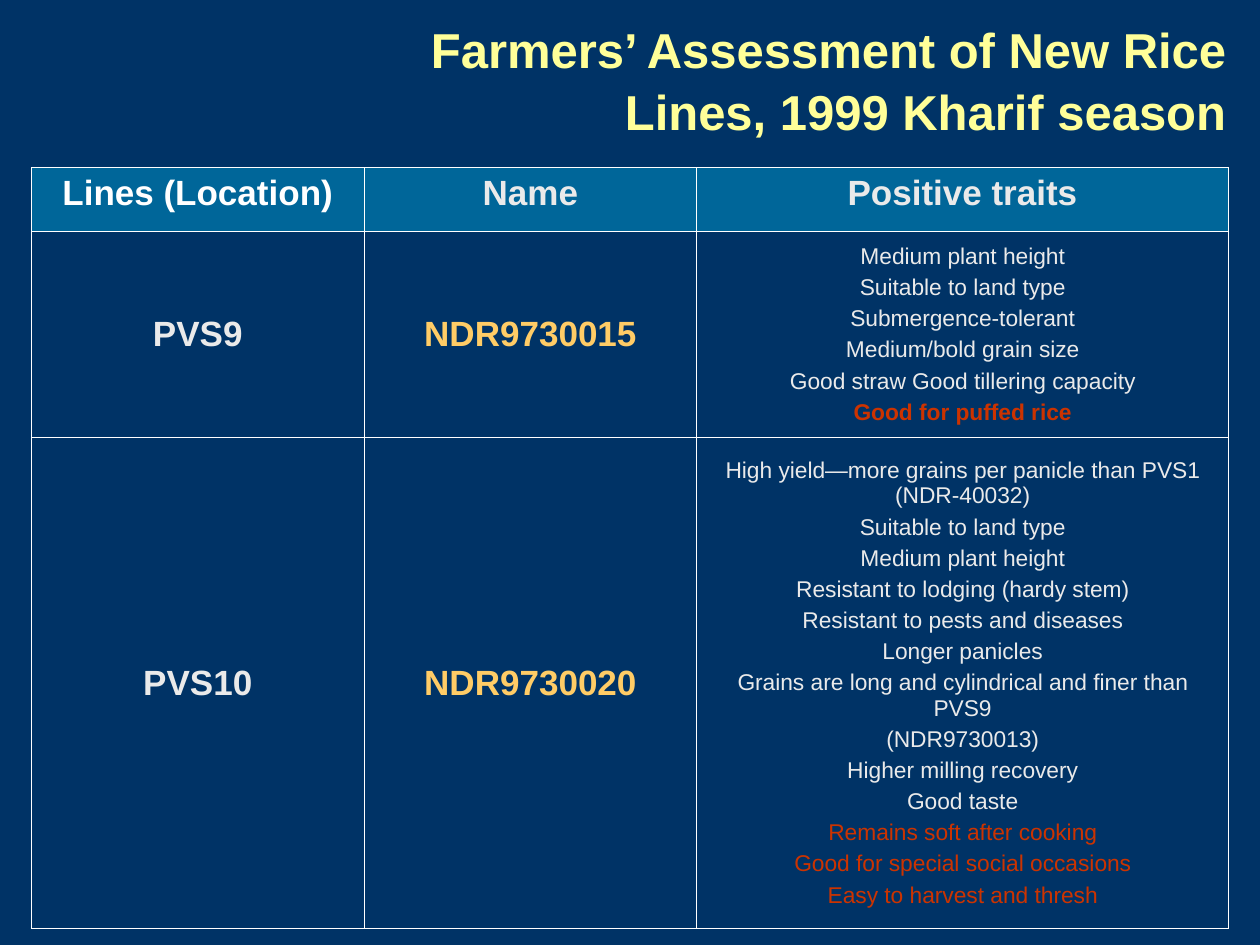
from lxml import etree
from pptx import Presentation
from pptx import util as u
from pptx.dml.color import RGBColor
from pptx.enum import text
from pptx.oxml import ns

NAVY = RGBColor(0x00, 0x33, 0x66)
TEAL = RGBColor(0x00, 0x66, 0x99)
YELLOW = RGBColor(0xFF, 0xFF, 0x99)
WHITE = RGBColor(0xFF, 0xFF, 0xFF)
PALE = RGBColor(0xEA, 0xEA, 0xEA)
GOLD = RGBColor(0xFF, 0xCC, 0x66)
RED = RGBColor(0xCC, 0x33, 0x00)

TITLE = "Farmers’ Assessment of New Rice Lines, 1999 Kharif season"
HEADERS = [("Lines (Location)", WHITE), ("Name", PALE), ("Positive traits", PALE)]
RICE_LINES = [
    {
        "line": "PVS9",
        "name": "NDR9730015",
        "traits": [
            "Medium plant height",
            "Suitable to land type",
            "Submergence-tolerant",
            "Medium/bold grain size",
            "Good straw Good tillering capacity",
        ],
        "special": ["Good for puffed rice"],
        "special_bold": True,
    },
    {
        "line": "PVS10",
        "name": "NDR9730020",
        "traits": [
            "High yield—more grains per panicle than PVS1 (NDR-40032)",
            "Suitable to land type",
            "Medium plant height",
            "Resistant to lodging (hardy stem)",
            "Resistant to pests and diseases",
            "Longer panicles",
            "Grains are long and cylindrical and finer than PVS9",
            "(NDR9730013)",
            "Higher milling recovery",
            "Good taste",
        ],
        "special": [
            "Remains soft after cooking",
            "Good for special social occasions",
            "Easy to harvest and thresh",
        ],
        "special_bold": False,
    },
]

SLIDE_W, SLIDE_H = u.Inches(10), u.Inches(7.5)
MARGIN = u.Inches(0.25)
TABLE_TOP = u.Inches(1.33)
COLUMN_WIDTHS = [2.64, 2.64, 4.22]
ROW_HEIGHTS = [0.51, 1.63, 3.9]
BORDER_WIDTH = u.Pt(0.45)


def write(frame, lines, size=20, color=PALE, bold=True, before=5,
          align=text.PP_ALIGN.CENTER, spacing=None):
    """Add each line as a paragraph, using the empty first one if there is one."""
    for line in lines:
        paragraph = frame.paragraphs[0] if not frame.text else frame.add_paragraph()
        paragraph.alignment = align
        paragraph.space_before = u.Pt(before)
        paragraph.line_spacing = spacing
        run = paragraph.add_run()
        run.text = line
        run.font.name = "Arial"
        run.font.size = u.Pt(size)
        run.font.bold = bold
        run.font.color.rgb = color


def style_cell(cell, fill, anchor):
    cell.vertical_anchor = anchor
    properties = cell._tc.get_or_add_tcPr()
    for side in ("a:lnL", "a:lnR", "a:lnT", "a:lnB"):
        border = etree.SubElement(properties, ns.qn(side), w=str(BORDER_WIDTH))
        solid = etree.SubElement(border, ns.qn("a:solidFill"))
        etree.SubElement(solid, ns.qn("a:srgbClr"), val=str(WHITE))
    cell.fill.solid()
    cell.fill.fore_color.rgb = fill


def add_title(slide):
    title = slide.shapes.title
    title.left, title.top = u.Inches(2.33), 0
    title.width, title.height = u.Inches(7.5), u.Inches(1.25)
    title.text_frame.word_wrap = True
    title.text_frame.auto_size = text.MSO_AUTO_SIZE.NONE
    title.text_frame.vertical_anchor = text.MSO_ANCHOR.MIDDLE
    write(title.text_frame, [TITLE], size=28, color=YELLOW, before=0,
          align=text.PP_ALIGN.RIGHT, spacing=1.05)


def add_assessment(slide):
    table = slide.shapes.add_table(
        len(ROW_HEIGHTS), len(COLUMN_WIDTHS), MARGIN, TABLE_TOP,
        SLIDE_W - 2 * MARGIN, u.Inches(sum(ROW_HEIGHTS))).table
    for column, width in zip(table.columns, COLUMN_WIDTHS):
        column.width = u.Inches(width)
    for row, height in zip(table.rows, ROW_HEIGHTS):
        row.height = u.Inches(height)

    for cell, (heading, color) in zip(table.rows[0].cells, HEADERS):
        style_cell(cell, TEAL, text.MSO_ANCHOR.TOP)
        write(cell.text_frame, [heading], color=color)

    for index, rice in enumerate(RICE_LINES, start=1):
        line, name, traits = table.rows[index].cells
        for cell in (line, name, traits):
            style_cell(cell, NAVY, text.MSO_ANCHOR.MIDDLE)
        write(line.text_frame, [rice["line"]])
        write(name.text_frame, [rice["name"]], color=GOLD)
        write(traits.text_frame, rice["traits"], size=13, bold=False, before=3.3)
        write(traits.text_frame, rice["special"], size=13, color=RED,
              bold=rice["special_bold"], before=3.3)


def main():
    deck = Presentation()
    deck.slide_width, deck.slide_height = SLIDE_W, SLIDE_H
    slide = deck.slides.add_slide(deck.slide_layouts.get_by_name("Title Only"))
    slide.background.fill.solid()
    slide.background.fill.fore_color.rgb = NAVY
    add_title(slide)
    add_assessment(slide)
    deck.save("out.pptx")


if __name__ == "__main__":
    main()
